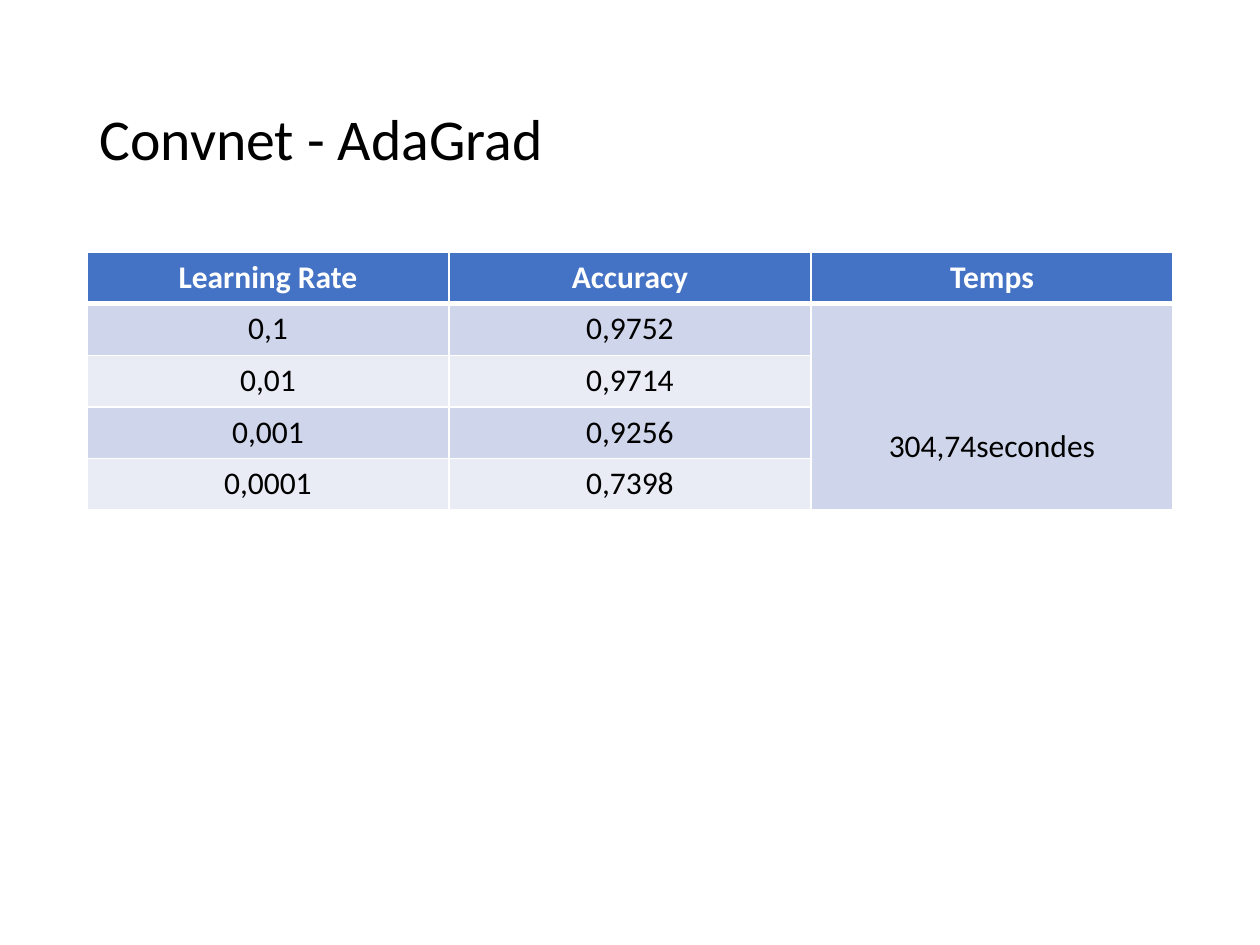
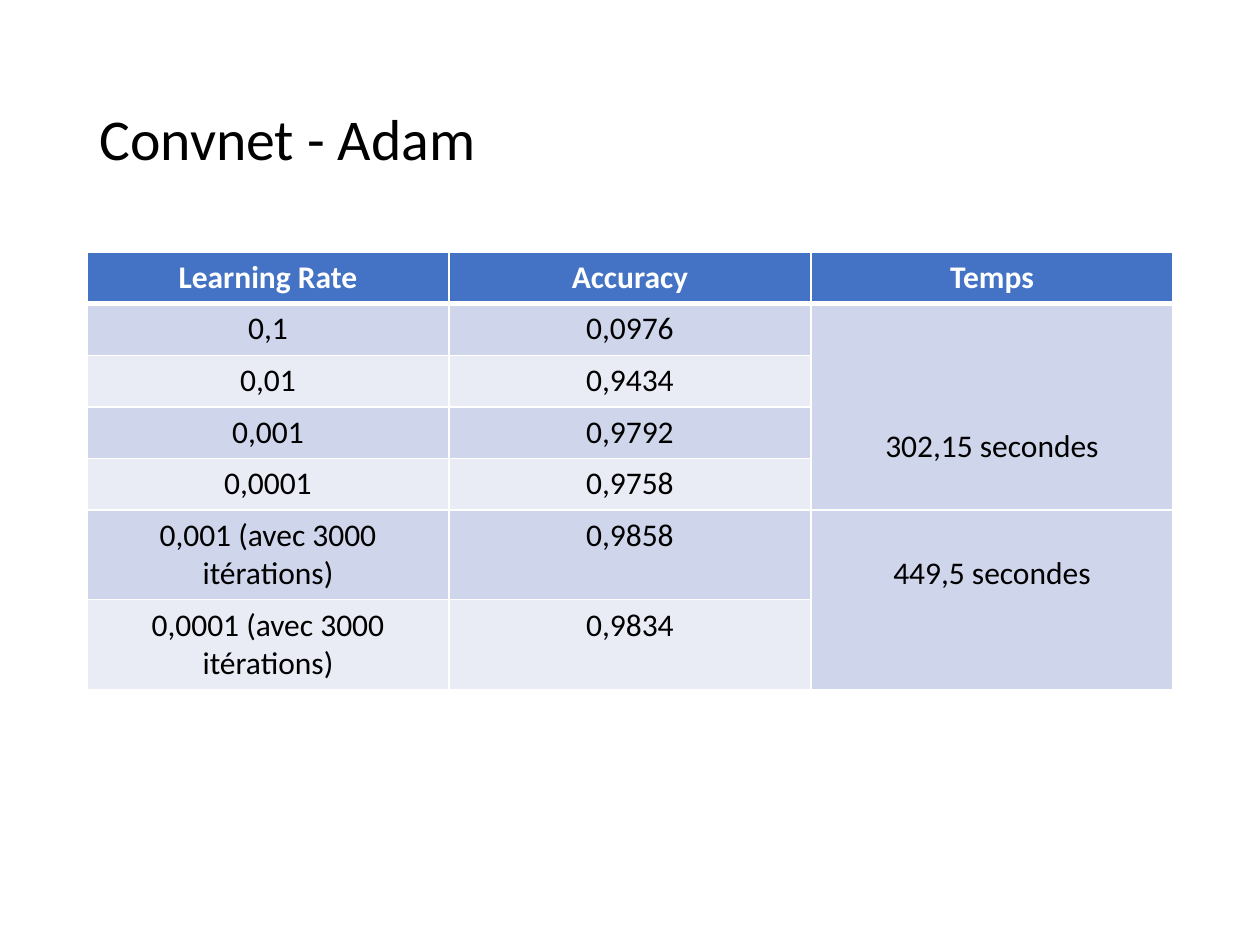
import pptx
import pptx.util
import pptx.dml.color
import pptx.enum.text
import pptx.oxml

Inches, Pt = pptx.util.Inches, pptx.util.Pt
RGB = pptx.dml.color.RGBColor
Align, Anchor = pptx.enum.text.PP_ALIGN, pptx.enum.text.MSO_ANCHOR

HEADS = ("Learning Rate", "Accuracy", "Temps")
# Each group: the rows (rate, accuracy), the time they share, where it sits
SLIDES = [
    ("Convnet - AdaGrad", [
        ([("0,1", "0,9752"), ("0,01", "0,9714"),
          ("0,001", "0,9256"), ("0,0001", "0,7398")],
         "304,74secondes", Anchor.BOTTOM),
    ]),
    ("Convnet - Adam", [
        ([("0,1", "0,0976"), ("0,01", "0,9434"),
          ("0,001", "0,9792"), ("0,0001", "0,9758")],
         "302,15 secondes", Anchor.BOTTOM),
        ([("0,001 (avec 3000 itérations)", "0,9858"),
          ("0,0001 (avec 3000 itérations)", "0,9834")],
         "449,5 secondes", Anchor.TOP),
    ]),
]

FONT = "Calibri"
WHITE = RGB(0xFF, 0xFF, 0xFF)
BLACK = RGB(0, 0, 0)
BLUE = RGB(0x44, 0x72, 0xC4)
BANDS = (RGB(0xCF, 0xD5, 0xEA), RGB(0xE9, 0xEB, 0xF5))

WIDTH, HEIGHT = Inches(10), Inches(7.5)
LEFT = Inches(0.69)
SPAN = WIDTH - 2 * LEFT
TITLE_TOP, TITLE_H = Inches(0.4), Inches(1.45)
GRID_TOP, ROW_H = Inches(2), Inches(0.41)
TIME_PAD = Inches(0.35)


def write(para, text, size, color, bold=False):
    run = para.add_run()
    run.text = text
    font = run.font
    font.name, font.size, font.bold = FONT, Pt(size), bold
    font.color.rgb = color


def edge(cell, **widths):
    """Draw white borders; widths maps L, R, T and B to points."""
    props = cell._tc.get_or_add_tcPr()
    for n, (side, width) in enumerate(widths.items()):
        props.insert(n, pptx.oxml.parse_xml(
            '<a:ln%s xmlns:a="http://schemas.openxmlformats.org/drawingml/2006/main"'
            ' w="%d"><a:solidFill><a:srgbClr val="%s"/></a:solidFill></a:ln%s>'
            % (side, Pt(width), WHITE, side)))


def fill(cell, text, row):
    head = row == 0
    cell.fill.solid()
    cell.fill.fore_color.rgb = BLUE if head else BANDS[(row - 1) % 2]
    edge(cell, L=1, R=1, T=3 if row == 1 else 1, B=3 if head else 1)
    if text:
        para = cell.text_frame.paragraphs[0]
        para.alignment = Align.CENTER
        write(para, text, 18, WHITE if head else BLACK, head)


def add_title(slide, text):
    title = slide.shapes.title
    title.left, title.top, title.width, title.height = LEFT, TITLE_TOP, SPAN, TITLE_H
    frame = title.text_frame
    frame.vertical_anchor = Anchor.MIDDLE
    frame.auto_size = pptx.enum.text.MSO_AUTO_SIZE.NONE
    para = frame.paragraphs[0]
    para.alignment, para.line_spacing = Align.LEFT, 0.9
    write(para, text, 33, BLACK)


def add_grid(slide, groups):
    count = 1 + sum(len(rows) for rows, _, _ in groups)
    grid = slide.shapes.add_table(
        count, len(HEADS), LEFT, GRID_TOP, SPAN, ROW_H * count).table
    for line in grid.rows:
        line.height = ROW_H
    for col, head in enumerate(HEADS):
        fill(grid.cell(0, col), head, 0)
    top = 1
    for rows, time, anchor in groups:
        for row, (rate, score) in enumerate(rows, top):
            for col, text in enumerate((rate, score, time if row == top else "")):
                fill(grid.cell(row, col), text, row)
        cell = grid.cell(top, 2)
        cell.merge(grid.cell(top + len(rows) - 1, 2))
        cell.vertical_anchor = anchor
        if anchor == Anchor.TOP:
            cell.margin_top = TIME_PAD
        else:
            cell.margin_bottom = TIME_PAD
        top += len(rows)


def main():
    deck = pptx.Presentation()
    deck.slide_width, deck.slide_height = WIDTH, HEIGHT
    for title, groups in SLIDES:
        slide = deck.slides.add_slide(deck.slide_layouts.get_by_name("Title Only"))
        add_title(slide, title)
        add_grid(slide, groups)
    deck.save("out.pptx")


if __name__ == "__main__":
    main()
